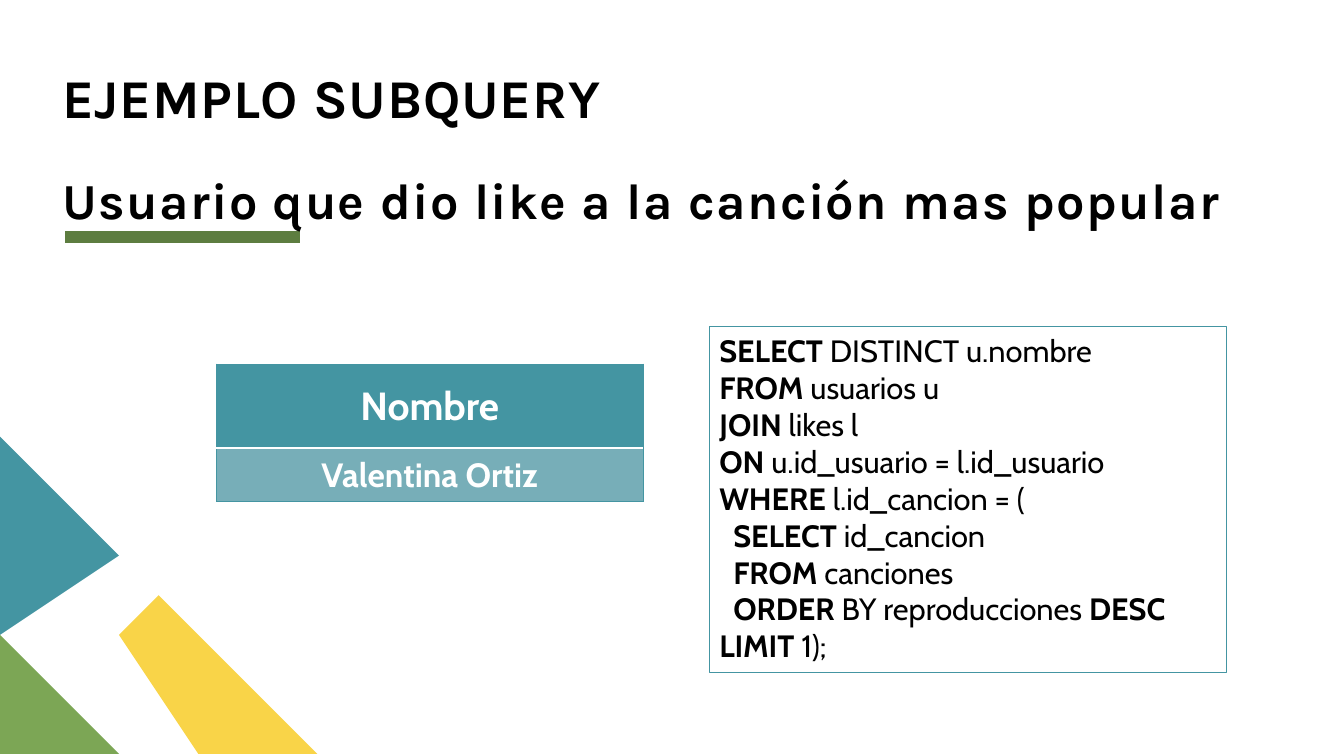
from dataclasses import dataclass

from lxml import etree
from pptx import Presentation
from pptx.dml.color import RGBColor
from pptx.enum import shapes, text
from pptx.oxml import ns
from pptx.util import Cm, Pt

BLACK = RGBColor(0x00, 0x00, 0x00)
WHITE = RGBColor(0xFF, 0xFF, 0xFF)
TEAL = RGBColor(0x44, 0x95, 0xA2)
PALE_TEAL = RGBColor(0x77, 0xAE, 0xB8)
GREEN = RGBColor(0x7C, 0xA6, 0x55)
DARK_GREEN = RGBColor(0x5D, 0x7D, 0x40)
YELLOW = RGBColor(0xF9, 0xD4, 0x48)


@dataclass
class Heading:
    words: str
    top: float
    width: float
    height: float
    size: int
    spacing: int  # hundredths of a point between letters


@dataclass
class Ornament:
    points: list[tuple[float, float]]
    color: RGBColor


@dataclass
class ResultRow:
    value: str
    height: float
    size: int
    fill: RGBColor
    top_border: tuple[RGBColor, float]
    bottom_border: tuple[RGBColor, float]


@dataclass
class QueryLine:
    phrases: list[tuple[str, bool]]  # words and whether they are bold
    indent: float = 0


HEADINGS = [
    Heading("Usuario que dio like a la canción mas popular", 4.14, 31.39, 2.06, 36, 100),
    Heading("EJEMPLO SUBQUERY", 1.85, 18.85, 1.47, 39, 50),
]

ORNAMENTS = [
    Ornament([(8.23, 19.05), (5.46, 19.05), (2.7, 16.28), (4.09, 14.91)], YELLOW),
    Ornament([(2.7, 19.05), (0, 19.05), (0, 16.36)], GREEN),
    Ornament([(0, 10.84), (2.7, 13.54), (0, 16.24)], TEAL),
]

RESULT_ROWS = [
    ResultRow("Nombre", 2.12, 28, TEAL, (TEAL, 0.5), (WHITE, 1)),
    ResultRow("Valentina Ortiz", 1.35, 24, PALE_TEAL, (WHITE, 1), (TEAL, 0.5)),
]

SUBQUERY_INDENT = 0.35
QUERY = [
    QueryLine([("SELECT", True), (" DISTINCT u.nombre", False)]),
    QueryLine([("FROM", True), (" usuarios u", False)]),
    QueryLine([("JOIN", True), (" likes l", False)]),
    QueryLine([("ON ", True), ("u.id_usuario = l.id_usuario", False)]),
    QueryLine([("WHERE ", True), ("l.id_cancion = (", False)]),
    QueryLine([("SELECT ", True), ("id_cancion", False)], SUBQUERY_INDENT),
    QueryLine([("FROM", True), (" canciones", False)], SUBQUERY_INDENT),
    QueryLine([("ORDER", True), (" BY reproducciones ", False),
               ("DESC LIMIT", True), (" 1);", False)], SUBQUERY_INDENT),
]


def style_run(run, font_name: str, size: int, color: RGBColor, bold: bool = True) -> None:
    run.font.name = font_name
    run.font.size = Pt(size)
    run.font.color.rgb = color
    run.font.bold = bold


def add_heading(slide, heading: Heading) -> None:
    box = slide.shapes.add_textbox(
        Cm(1.57), Cm(heading.top), Cm(heading.width), Cm(heading.height))
    frame = box.text_frame
    frame.word_wrap = True
    frame.vertical_anchor = text.MSO_ANCHOR.MIDDLE
    frame.margin_left = frame.margin_right = frame.margin_top = frame.margin_bottom = 0
    frame.text = heading.words
    line = frame.paragraphs[0]
    line.line_spacing = 0.8
    run = line.runs[0]
    style_run(run, "Karla", heading.size, BLACK)
    run._r.get_or_add_rPr().set("spc", str(heading.spacing))


def add_underline(slide) -> None:
    underline = slide.shapes.add_connector(
        shapes.MSO_CONNECTOR.STRAIGHT, Cm(1.65), Cm(5.97), Cm(7.57), Cm(5.97))
    underline.line.color.rgb = DARK_GREEN
    underline.line.width = Pt(8)
    etree.SubElement(underline._element.spPr, ns.qn("a:effectLst"))


def add_ornament(slide, ornament: Ornament) -> None:
    start, *others = ornament.points
    builder = slide.shapes.build_freeform(*start, scale=Cm(1))
    builder.add_line_segments(others, close=True)
    outline = builder.convert_to_shape()
    outline.shadow.inherit = False
    outline.fill.solid()
    outline.fill.fore_color.rgb = ornament.color
    outline.line.fill.background()


def set_border(cell, side: str, color: RGBColor, width: float, position: int) -> None:
    """Put one border line before the cell's fill, in schema order."""
    border = etree.Element(ns.qn(f"a:{side}"), w=str(Pt(width)))
    fill = etree.SubElement(border, ns.qn("a:solidFill"))
    etree.SubElement(fill, ns.qn("a:srgbClr"), val=str(color))
    cell._tc.get_or_add_tcPr().insert(position, border)


def add_result_table(slide) -> None:
    height = sum(row.height for row in RESULT_ROWS)
    table = slide.shapes.add_table(
        len(RESULT_ROWS), 1, Cm(5.46), Cm(9.17), Cm(10.74), Cm(height)).table
    for index, row in enumerate(RESULT_ROWS):
        table.rows[index].height = Cm(row.height)
        cell = table.cell(index, 0)
        cell.fill.solid()
        cell.fill.fore_color.rgb = row.fill
        cell.vertical_anchor = text.MSO_ANCHOR.MIDDLE
        cell.margin_left = cell.margin_right = cell.margin_top = Cm(0.03)
        cell.margin_bottom = 0
        cell.text_frame.text = row.value
        value = cell.text_frame.paragraphs[0]
        value.alignment = text.PP_ALIGN.CENTER
        style_run(value.runs[0], "Cabin", row.size, WHITE)
        borders = {"lnL": (TEAL, 0.5), "lnR": (TEAL, 0.5),
                   "lnT": row.top_border, "lnB": row.bottom_border}
        for position, (side, (color, width)) in enumerate(borders.items()):
            set_border(cell, side, color, width, position)


def add_query(slide) -> None:
    panel = slide.shapes.add_shape(
        shapes.MSO_SHAPE.RECTANGLE, Cm(17.88), Cm(8.23), Cm(13.03), Cm(8.71))
    panel.shadow.inherit = False
    panel.fill.background()
    panel.line.color.rgb = TEAL
    panel.line.width = Pt(0.75)
    frame = panel.text_frame
    frame.word_wrap = True
    frame.vertical_anchor = text.MSO_ANCHOR.TOP
    for index, query_line in enumerate(QUERY):
        paragraph = frame.add_paragraph() if index else frame.paragraphs[0]
        paragraph.alignment = text.PP_ALIGN.LEFT
        if query_line.indent:
            properties = paragraph._p.get_or_add_pPr()
            properties.set("marL", "0")
            properties.set("indent", str(Cm(query_line.indent)))
        for words, bold in query_line.phrases:
            run = paragraph.add_run()
            run.text = words
            style_run(run, "Cabin", 22, BLACK, bold)


def main() -> None:
    deck = Presentation()
    deck.slide_width, deck.slide_height = Cm(33.87), Cm(19.05)
    slide = deck.slides.add_slide(deck.slide_layouts[6])
    add_underline(slide)
    for ornament in ORNAMENTS:
        add_ornament(slide, ornament)
    add_query(slide)
    add_result_table(slide)
    for heading in HEADINGS:
        add_heading(slide, heading)
    deck.save("out.pptx")


if __name__ == "__main__":
    main()
